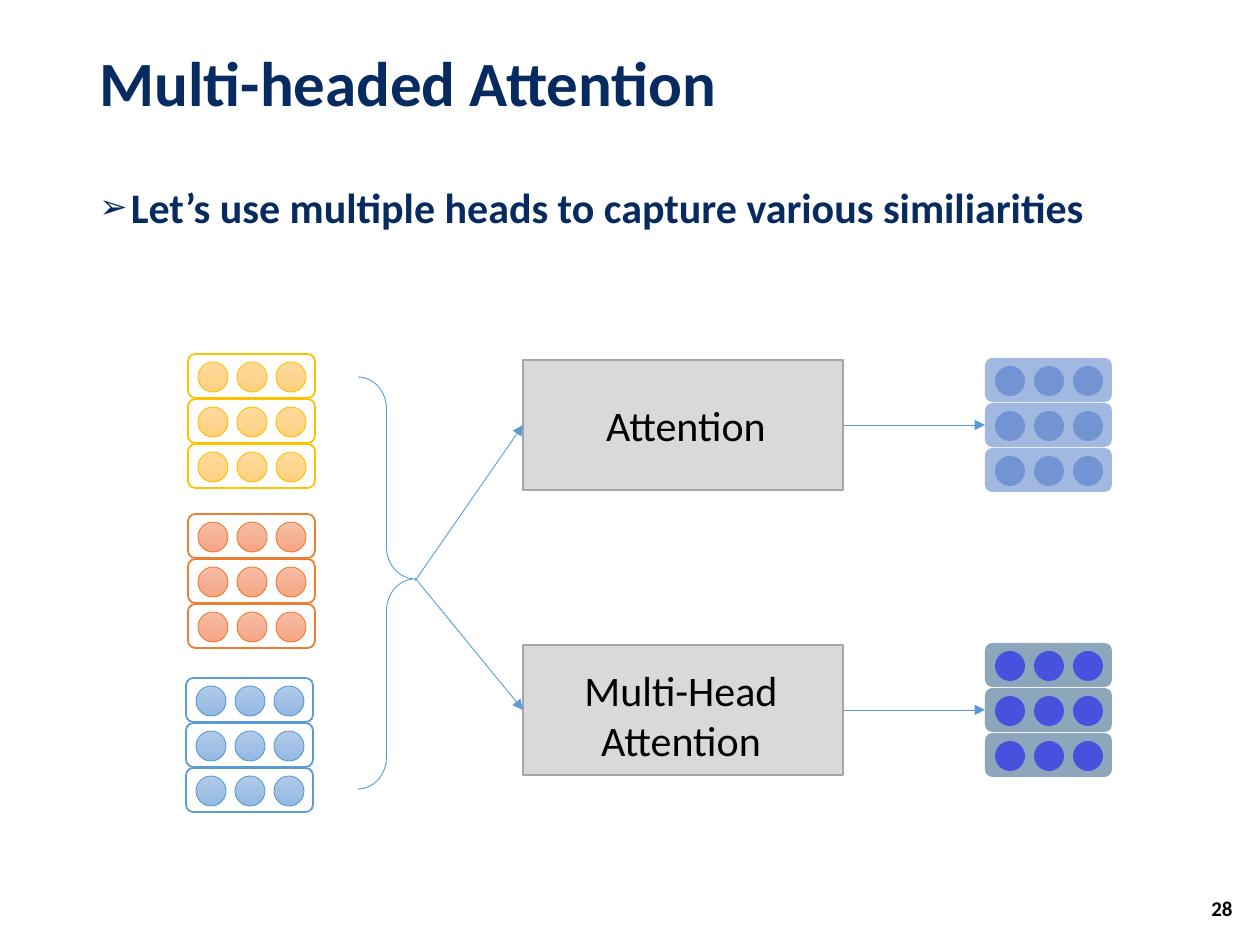
"""Build the multi-headed attention slide."""
from copy import deepcopy
from dataclasses import dataclass

from lxml import etree
from pptx import Presentation
from pptx import util as u
from pptx.dml.color import RGBColor
from pptx.enum import shapes, text
from pptx.oxml import ns

SCALE = 914400 / 126


def px(length):
    return u.Emu(round(length * SCALE))


@dataclass(frozen=True)
class Theme:
    font: str = "Calibri"
    navy: str = "072B61"
    black: str = "000000"
    white: str = "FFFFFF"
    box: str = "D9D9D9"
    box_line: str = "A6A6A6"
    arrow: str = "5B9BD5"
    yellow: tuple = ("FFC000", ("FFDB9E", "FFD590", "FFD07C"))
    orange: tuple = ("ED7D31", ("F7BDA5", "F5B196", "F8A582"))
    blue: tuple = ("5B9BD5", ("B1CBE9", "A3C1E5", "93B9E4"))
    single_output: tuple = ("4472C4", "4472C4")
    multi_output: tuple = ("1F4E79", "0000FF")
    title_size: int = 36
    body_size: int = 24
    number_size: int = 12
    thick: float = 1
    thin: float = 0.5


class Diagram:
    def __init__(self, slide, theme):
        self.slide = slide
        self.theme = theme

    def add_words(self, paragraph, words, size, color, bold=False):
        run = paragraph.add_run()
        run.text = words
        run.font.name = self.theme.font
        run.font.size = u.Pt(size)
        run.font.bold = bold
        run.font.color.rgb = RGBColor.from_string(color)

    def title(self, words, left, top, width, height):
        shape = self.slide.shapes.title
        shape.left, shape.top, shape.width, shape.height = map(px, (left, top, width, height))
        frame = shape.text_frame
        frame.word_wrap = True
        frame.auto_size = text.MSO_AUTO_SIZE.NONE
        frame.vertical_anchor = text.MSO_ANCHOR.MIDDLE
        paragraph = frame.paragraphs[0]
        paragraph.alignment = text.PP_ALIGN.LEFT
        paragraph.line_spacing = 0.9
        self.add_words(paragraph, words, self.theme.title_size, self.theme.navy, True)

    def text_box(self, left, top, width, height, wrap=True):
        frame = self.slide.shapes.add_textbox(*map(px, (left, top, width, height))).text_frame
        frame.word_wrap = wrap
        return frame

    def bullet(self, words, left, top, width, height):
        paragraph = self.text_box(left, top, width, height).paragraphs[0]
        paragraph.line_spacing = 0.9
        properties = paragraph._p.get_or_add_pPr()
        properties.set("marL", str(u.Inches(0.25)))
        properties.set("indent", str(-u.Inches(0.25)))
        for tag, name, value in (("a:buSzPct", "val", "80000"),
                                 ("a:buFont", "typeface", "Arial"),
                                 ("a:buChar", "char", "➢")):
            etree.SubElement(properties, ns.qn(tag)).set(name, value)
        self.add_words(paragraph, words, self.theme.body_size, self.theme.navy, True)

    def page_number(self, words, left, top, width, height):
        frame = self.text_box(left, top, width, height)
        frame.vertical_anchor = text.MSO_ANCHOR.MIDDLE
        frame.paragraphs[0].alignment = text.PP_ALIGN.RIGHT
        self.add_words(frame.paragraphs[0], words, self.theme.number_size, self.theme.black, True)

    def label(self, lines, left, top, width, height):
        frame = self.text_box(left, top, width, height, wrap=False)
        frame.auto_size = text.MSO_AUTO_SIZE.SHAPE_TO_FIT_TEXT
        for index, words in enumerate(lines):
            paragraph = frame.add_paragraph() if index else frame.paragraphs[0]
            paragraph.alignment = text.PP_ALIGN.CENTER
            self.add_words(paragraph, words, self.theme.body_size, self.theme.black)

    def shape(self, kind, left, top, width, height, fill=None, line=None, weight=1, parent=None):
        parent = parent or self.slide.shapes
        shape = parent.add_shape(kind, *map(px, (left, top, width, height)))
        shape.shadow.inherit = False
        if fill is None:
            shape.fill.background()
        elif isinstance(fill, tuple):
            self.gradient(shape, fill)
        else:
            shape.fill.solid()
            shape.fill.fore_color.rgb = RGBColor.from_string(fill)
        if line is None:
            shape.line.fill.background()
        else:
            shape.line.color.rgb = RGBColor.from_string(line)
            shape.line.width = u.Pt(weight)
        return shape

    def gradient(self, shape, colors):
        shape.fill.gradient()
        shape.fill.gradient_angle = 270
        first = shape._element.spPr.xpath(".//a:gs")[0]
        first.addnext(deepcopy(first))
        for index, (stop, color) in enumerate(zip(shape.fill.gradient_stops, colors)):
            stop.position = index / 2
            stop.color.rgb = RGBColor.from_string(color)

    def fade(self, shape):
        color = shape._element.spPr.xpath("./a:solidFill/a:srgbClr")[0]
        etree.SubElement(color, ns.qn("a:alpha")).set("val", "50000")

    def stack(self, left, top, row_fill, dot_fill, line=None):
        """Draw three rows of three dots and return the middle row."""
        group = self.slide.shapes.add_group_shape().shapes
        rows = []
        for row_top in range(top, top + 135, 45):
            row = self.shape(shapes.MSO_SHAPE.ROUNDED_RECTANGLE, left, row_top, 127, 44,
                             row_fill, line, self.theme.thick, group)
            dots = [self.shape(shapes.MSO_SHAPE.OVAL, left + 10 + 39 * column, row_top + 8,
                               30, 30, dot_fill, line, self.theme.thin, group)
                    for column in range(3)]
            if line is None:
                for shape in (row, *dots):
                    self.fade(shape)
            rows.append(row)
        return rows[1]

    def block(self, left, top):
        return self.shape(shapes.MSO_SHAPE.RECTANGLE, left, top, 320, 130,
                          self.theme.box, self.theme.box_line, self.theme.thick)

    def brace(self, left, top, width, height):
        shape = self.shape(shapes.MSO_SHAPE.RIGHT_BRACE, left, top, width, height,
                           line=self.theme.arrow, weight=self.theme.thin)
        shape.adjustments[0], shape.adjustments[1] = 0.56, 0.49

    def arrow(self, target, source=None, start=(0, 0)):
        x, y = map(px, start)
        connector = self.slide.shapes.add_connector(shapes.MSO_CONNECTOR.STRAIGHT, x, y, x, y)
        if source is not None:
            connector.begin_connect(source, 3)
        connector.end_connect(target, 1)
        connector.line.color.rgb = RGBColor.from_string(self.theme.arrow)
        connector.line.width = u.Pt(self.theme.thin)
        line = connector.line._get_or_add_ln()
        etree.SubElement(line, ns.qn("a:tailEnd")).set("type", "triangle")
        etree.SubElement(connector._element.spPr, ns.qn("a:effectLst"))


def main():
    presentation = Presentation()
    presentation.slide_width, presentation.slide_height = px(1260), px(945)
    theme = Theme()
    diagram = Diagram(presentation.slides.add_slide(presentation.slide_layouts[5]), theme)

    diagram.title("Multi-headed Attention", 87, 23, 1086, 127)
    diagram.bullet("Let’s use multiple heads to capture various similiarities", 87, 181, 1086, 685)
    diagram.page_number("28", 1179, 883, 66, 50)

    for left, top, (line, dots) in ((188, 354, theme.yellow),
                                    (188, 514, theme.orange),
                                    (186, 678, theme.blue)):
        diagram.stack(left, top, theme.white, dots, line)
    diagram.brace(358, 377, 57, 412)

    for top, tip, lines, label_box, colors in (
            (360, 581, ["Attention"], (592, 393, 188, 63), theme.single_output),
            (645, 578, ["Multi-Head", "Attention"], (571, 658, 220, 115), theme.multi_output)):
        block = diagram.block(523, top)
        diagram.label(lines, *label_box)
        middle_row = diagram.stack(985, top - 2, *colors)
        diagram.arrow(block, start=(415, tip))
        diagram.arrow(middle_row, source=block)

    presentation.save("out.pptx")


if __name__ == "__main__":
    main()
